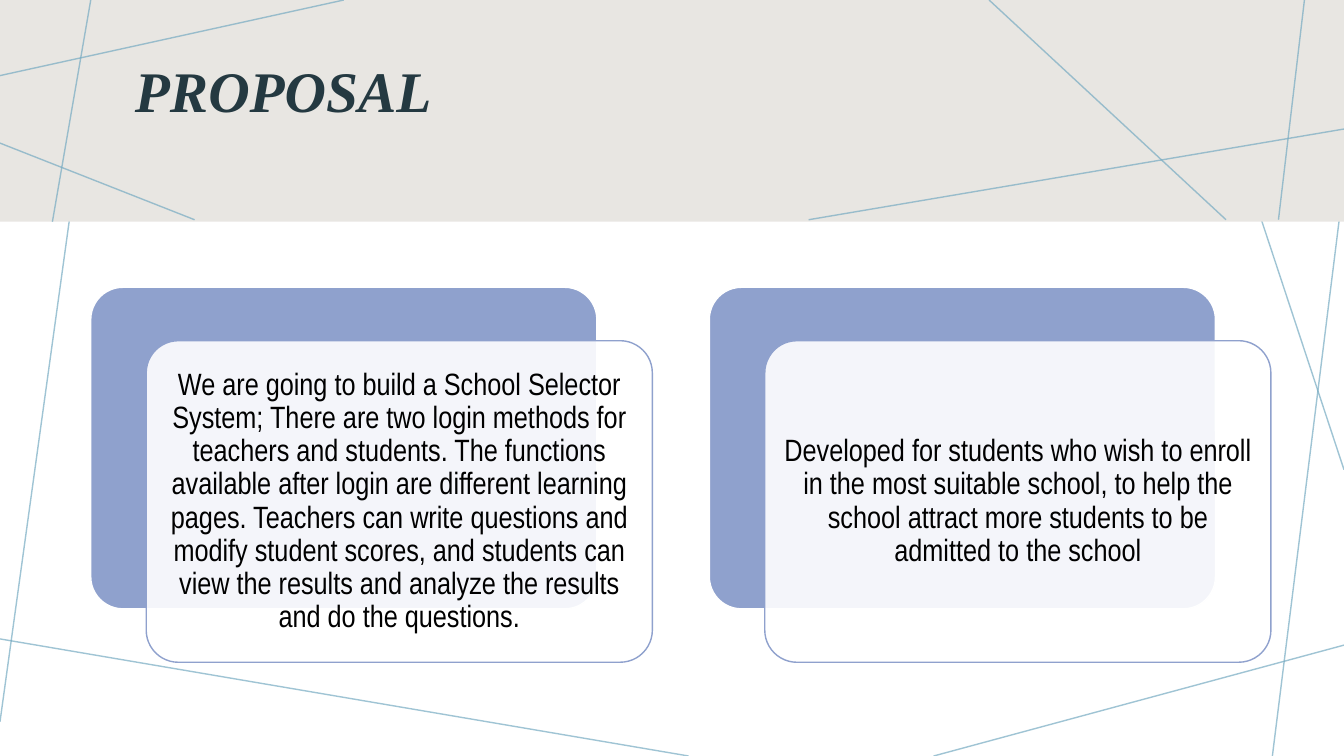
from dataclasses import dataclass

from lxml.etree import SubElement
from pptx import Presentation
from pptx.dml.color import RGBColor
from pptx.enum.shapes import MSO_CONNECTOR, MSO_SHAPE
from pptx.enum.text import MSO_ANCHOR, PP_ALIGN
from pptx.oxml.ns import qn
from pptx.util import Inches, Pt

COLORS = {
    "band": "E8E6E2",
    "ray": "77ABC2",
    "title": "243941",
    "card": "8FA1CD",
    "white": "FFFFFF",
    "text": "000000",
}
TITLE_FONT = {"name": "Times New Roman", "size": Pt(41), "bold": True, "italic": True}
CARD_FONT = {"name": "Arial Narrow", "size": Pt(22)}
TITLE_FRAME = {
    "word_wrap": True,
    "vertical_anchor": MSO_ANCHOR.TOP,
    "margin_top": Inches(0.08),
}
CARD_FRAME = {
    "word_wrap": True,
    "vertical_anchor": MSO_ANCHOR.MIDDLE,
    **{f"margin_{side}": Inches(0.09) for side in ("left", "top", "right", "bottom")},
}
CARD_WIDTH, CARD_HEIGHT = 5.02, 3.19
CARD_TOP = 2.85
CARD_SHIFT_X, CARD_SHIFT_Y = 0.55, 0.53


@dataclass
class Ray:
    x1: float
    y1: float
    x2: float
    y2: float


@dataclass
class Card:
    left: float
    text: str


PAGE_RAYS = [
    Ray(3.41, 0, 0, 0.75),
    Ray(0.99, 0, 0, 7.16),
    Ray(6.83, 7.5, -0.05, 6.33),
    Ray(13.33, 6.4, 9.26, 7.5),
    Ray(13.33, 1.8, 12.62, 7.5),
    Ray(13.33, 4.66, 11.79, 0),
    Ray(13.33, 1.01, 7.14, -0.01),
]
BAND_RAYS = [
    Ray(3.41, 0, 0, 0.75),
    Ray(0.9, 0, 0.52, 2.2),
    Ray(1.93, 2.18, 0, 1.42),
    Ray(13.33, 1.28, 8.02, 2.18),
    Ray(12.16, 2.18, 9.81, 0),
    Ray(12.94, -0.02, 12.68, 2.18),
]
CARDS = [
    Card(0.9, "We are going to build a School Selector System; There are two login "
              "methods for teachers and students. The functions available after login "
              "are different learning pages. Teachers can write questions and modify "
              "student scores, and students can view the results and analyze the "
              "results and do the questions."),
    Card(7.035, "Developed for students who wish to enroll in the most suitable school, "
                "to help the school attract more students to be admitted to the school"),
]


def color(name: str) -> RGBColor:
    return RGBColor.from_string(COLORS[name])


def set_values(target, values: dict) -> None:
    for name, value in values.items():
        setattr(target, name, value)


def set_alpha(element, percent: int) -> None:
    solid = next(element.iter(qn("a:srgbClr")))
    SubElement(solid, qn("a:alpha")).set("val", str(percent * 1000))


def add_ray(page, ray: Ray) -> None:
    line = page.shapes.add_connector(
        MSO_CONNECTOR.STRAIGHT, Inches(ray.x1), Inches(ray.y1), Inches(ray.x2), Inches(ray.y2)
    )
    line.line.color.rgb = color("ray")
    line.line.width = Pt(1)
    properties = line._element.spPr
    set_alpha(properties, 70)
    SubElement(properties, qn("a:effectLst"))


def add_box(page, kind, left: float, top: float, width: float, height: float,
            fill: str, outline: str = ""):
    box = page.shapes.add_shape(kind, Inches(left), Inches(top), Inches(width), Inches(height))
    box.shadow.inherit = False
    box.fill.solid()
    box.fill.fore_color.rgb = color(fill)
    if outline:
        box.line.color.rgb = color(outline)
        box.line.width = Pt(1)
    else:
        box.line.fill.background()
    return box


def write_text(box, text: str, frame: dict, font: dict, ink: str, align) -> None:
    set_values(box.text_frame, frame)
    para = box.text_frame.paragraphs[0]
    set_values(para, {"alignment": align, "line_spacing": 0.9})
    span = para.add_run()
    span.text = text
    set_values(span.font, font)
    span.font.color.rgb = color(ink)


def add_card(page, card: Card) -> None:
    back, front = (
        add_box(page, MSO_SHAPE.ROUNDED_RECTANGLE, card.left + step * CARD_SHIFT_X,
                CARD_TOP + step * CARD_SHIFT_Y, CARD_WIDTH, CARD_HEIGHT, fill, outline)
        for step, (fill, outline) in enumerate([("card", "white"), ("white", "card")])
    )
    for box in (back, front):
        box.adjustments[0] = 0.1
    set_alpha(front._element.spPr, 90)
    write_text(front, card.text, CARD_FRAME, CARD_FONT, "text", PP_ALIGN.CENTER)


def main() -> None:
    deck = Presentation()
    deck.slide_width, deck.slide_height = Inches(13.33), Inches(7.5)
    page = deck.slides.add_slide(deck.slide_layouts[6])
    for ray in PAGE_RAYS:
        add_ray(page, ray)
    add_box(page, MSO_SHAPE.RECTANGLE, 0, 0, 13.33, 2.2, "band")
    for ray in BAND_RAYS:
        add_ray(page, ray)
    title = page.shapes.add_textbox(Inches(1.24), Inches(0.54), Inches(11.01), Inches(1.34))
    write_text(title, "PROPOSAL", TITLE_FRAME, TITLE_FONT, "title", PP_ALIGN.LEFT)
    for card in CARDS:
        add_card(page, card)
    deck.save("out.pptx")


if __name__ == "__main__":
    main()
